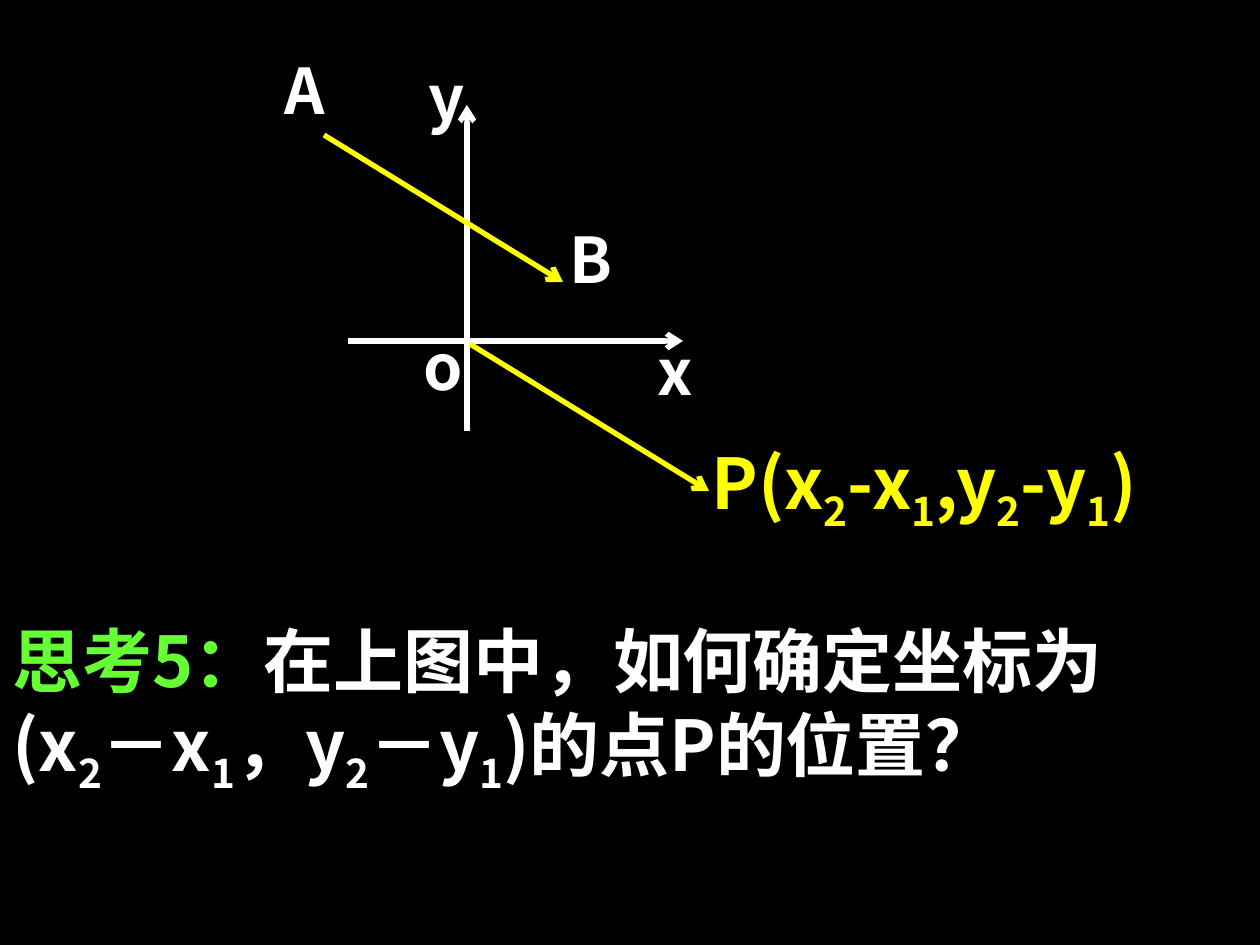
"""Build a slide on vectors and the coordinates of point P."""
from lxml.etree import SubElement
from pptx import Presentation
from pptx.dml.color import RGBColor
from pptx.enum.shapes import MSO_CONNECTOR as Connector
from pptx.enum.text import MSO_ANCHOR as Anchor, PP_ALIGN as Align
from pptx.oxml.ns import qn
from pptx.util import Emu, Pt

PX = 914400 // 126
BLACK = RGBColor(0x00, 0x00, 0x00)
WHITE = RGBColor(0xFF, 0xFF, 0xFF)
YELLOW = RGBColor(0xFF, 0xFF, 0x00)
GREEN = RGBColor(0x66, 0xFF, 0x33)
FONT = "Noto Sans CJK SC"


def px(length):
    """Turn px into EMU."""
    return Emu(length * PX)


def add_run(paragraph, text, size, color, subscript=False):
    """Append one bold run, lowered when it is a subscript."""
    run = paragraph.add_run()
    run.text = text
    font = run.font
    font.name, font.size, font.bold = FONT, Pt(size), True
    font.color.rgb = color
    properties = run._r.get_or_add_rPr()
    SubElement(properties, qn("a:ea")).set("typeface", FONT)
    if subscript:
        properties.set("baseline", "-25000")


def add_text(slide, box, spans, size=40, align=Align.LEFT):
    """Place (text, color) spans; the character after each _ is a subscript."""
    frame = slide.shapes.add_textbox(*map(px, box)).text_frame
    frame.word_wrap = True
    frame.vertical_anchor = Anchor.TOP
    paragraph = frame.paragraphs[0]
    paragraph.alignment = align
    for text, color in spans:
        start, *rest = text.split("_")
        add_run(paragraph, start, size, color)
        for part in rest:
            add_run(paragraph, part[0], size, color, subscript=True)
            if part[1:]:
                add_run(paragraph, part[1:], size, color)


def add_arrow(slide, start, end, color):
    """Draw a line with an open arrowhead at its end."""
    arrow = slide.shapes.add_connector(Connector.STRAIGHT, *map(px, start + end))
    arrow.line.color.rgb = color
    arrow.line.width = Pt(3)
    SubElement(arrow.line._get_or_add_ln(), qn("a:tailEnd")).set("type", "arrow")
    SubElement(arrow._element.spPr, qn("a:effectLst"))


def draw_axes(slide, left, top):
    """Draw the axes, vector AB and their labels from the given corner."""
    arrows = [
        ((76, 296), (411, 296), WHITE),
        ((195, 386), (195, 60), WHITE),
        ((52, 90), (291, 237), YELLOW),
    ]
    for (x1, y1), (x2, y2), color in arrows:
        add_arrow(slide, (left + x1, top + y1), (left + x2, top + y2), color)
    labels = {
        "o": (139, 276, 72, 89),
        "x": (373, 281, 72, 89),
        "y": (144, 7, 72, 88),
        "B": (285, 169, 102, 97),
        "A": (0, 0, 84, 100),
    }
    for label, (x, y, width, height) in labels.items():
        add_text(slide, (left + x, top + y, width, height), [(label, WHITE)],
                 size=36, align=Align.JUSTIFY)


def draw_position_vector(slide, left, top):
    """Draw vector OP and the coordinates of P from the given origin."""
    add_arrow(slide, (left, top), (left + 239, top + 147), YELLOW)
    add_text(slide, (left + 229, top + 89, 496, 108),
             [("P(x_2-x_1,y_2-y_1)", YELLOW)])


def write_question(slide, box):
    """Write the question with its coloured heading."""
    add_text(slide, box, [
        ("思考5：", GREEN),
        ("在上图中，如何确定坐标为(x_2－x_1，y_2－y_1)的点P的位置？", WHITE),
    ])


def main():
    """Build and save the slide."""
    deck = Presentation()
    deck.slide_width, deck.slide_height = px(1260), px(945)
    slide = deck.slides.add_slide(deck.slide_layouts[6])
    background = slide.background.fill
    background.solid()
    background.fore_color.rgb = BLACK
    write_question(slide, (0, 611, 1186, 193))
    draw_axes(slide, 272, 45)
    draw_position_vector(slide, 470, 344)
    deck.save("out.pptx")


if __name__ == "__main__":
    main()
